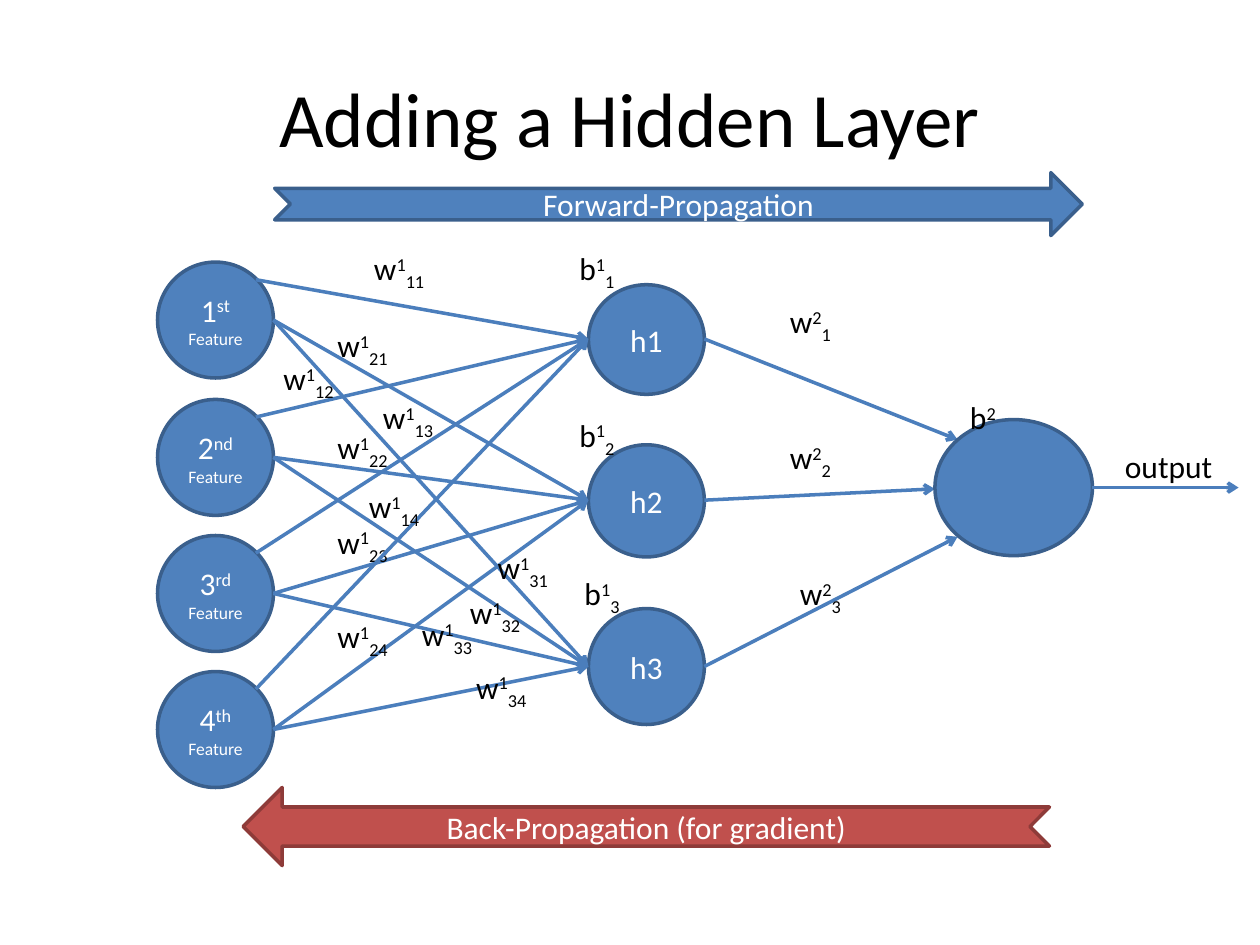
from dataclasses import dataclass

from lxml.etree import SubElement
from pptx import Presentation
from pptx.dml.color import RGBColor
from pptx.enum.shapes import MSO_CONNECTOR as Link, MSO_SHAPE as Preset
from pptx.enum.text import MSO_ANCHOR as Anchor, MSO_AUTO_SIZE as Fit, PP_ALIGN as Align
from pptx.oxml.ns import qn
from pptx.util import Pt

PX = 9144


@dataclass(frozen=True)
class Theme:
    """Hold the colours, font and type sizes of the slide."""
    font: str = "Calibri"
    title: int = 44
    body: int = 18
    small: int = 10
    stroke: int = 2
    black: str = "000000"
    white: str = "FFFFFF"
    blue: str = "4F81BD"
    blue_edge: str = "3A5F8C"
    link: str = "4B7EBC"
    red: str = "C0504D"
    red_edge: str = "8E3B39"


THEME = Theme()
SUPER, SUB = 30000, -25000

FEATURES = [("1", "st", 208), ("2", "nd", 317), ("3", "rd", 425), ("4", "th", 533)]
FEATURE_LEFT, NODE = 125, 92
HIDDEN_LEFT = 467
OUTPUT = (742, 333, 125, 108)


@dataclass(frozen=True)
class HiddenUnit:
    """Describe one hidden unit, its link ends and its label places."""
    index: int
    top: int
    height: int
    start_x: int
    start_drop: int
    weights: tuple
    bias: tuple
    target: tuple


HIDDEN_UNITS = [
    HiddenUnit(2, 353, 89, 217, 46,
               ((258, 254, 67), (258, 335, 67), (258, 410, 67), (258, 485, 92)),
               (450, 325), (742, 388)),
    HiddenUnit(3, 483, 92, 217, 46,
               ((385, 430, 71), (363, 466, 79), (325, 483, 71), (368, 525, 71)),
               (454, 451), (760, 426)),
    HiddenUnit(1, 226, 87, 203, 14,
               ((287, 193, 67), (215, 280, 79), (294, 311, 67), (283, 382, 67)),
               (450, 193), (760, 349)),
]
OUTPUT_WEIGHTS = [("1", 617, 235), ("2", 617, 343), ("3", 625, 451)]


def px(*lengths):
    """Turn pixel lengths into EMU."""
    return [length * PX for length in lengths]


def write(shape, *pieces, size=THEME.body, color=THEME.black, align=Align.LEFT,
          anchor=Anchor.TOP):
    """Write (text, baseline, size) pieces into one formatted paragraph."""
    frame = shape.text_frame
    frame.word_wrap = True
    frame.vertical_anchor = anchor
    paragraph = frame.paragraphs[0]
    paragraph.alignment = align
    for text, baseline, piece_size in pieces:
        run = paragraph.add_run()
        run.text = text
        run.font.name = THEME.font
        run.font.size = Pt(piece_size or size)
        run.font.color.rgb = RGBColor.from_string(color)
        if baseline:
            run.font._element.set("baseline", str(baseline))


def label(shapes, left, top, width, text, upper="", lower=""):
    """Add a text label with an optional superscript and subscript."""
    box = shapes.add_textbox(*px(left, top, width, 40))
    parts = [(text, 0, None), (upper, SUPER, None), (lower, SUB, None)]
    write(box, *[part for part in parts if part[0]])
    box.text_frame.auto_size = Fit.SHAPE_TO_FIT_TEXT


def solid(shapes, preset, bounds, *pieces, fill=THEME.blue, edge=THEME.blue_edge):
    """Add a filled, outlined shape with centred white text."""
    shape = shapes.add_shape(preset, *px(*bounds))
    shape.shadow.inherit = False
    shape.fill.solid()
    shape.fill.fore_color.rgb = RGBColor.from_string(fill)
    shape.line.color.rgb = RGBColor.from_string(edge)
    shape.line.width = Pt(THEME.stroke)
    write(shape, *pieces, color=THEME.white, align=Align.CENTER, anchor=Anchor.MIDDLE)
    return shape


def arrow(shapes, start, end):
    """Add a straight link with an open arrowhead at its end."""
    link = shapes.add_connector(Link.STRAIGHT, *px(*start, *end))
    link.line.color.rgb = RGBColor.from_string(THEME.link)
    link.line.width = Pt(THEME.stroke)
    SubElement(link.line._get_or_add_ln(), qn("a:tailEnd"), type="arrow")
    SubElement(link._element.spPr, qn("a:effectLst"))


def feature(shapes, number, ordinal, top):
    """Add one input feature node."""
    solid(shapes, Preset.OVAL, (FEATURE_LEFT, top, NODE, NODE), (number, 0, None),
          (ordinal + " ", SUPER, None), ("Feature", 0, THEME.small))


def hidden_unit(shapes, unit):
    """Add one hidden unit grouped with its links, weights and bias."""
    members = shapes.add_group_shape().shapes
    middle = unit.top + unit.height // 2
    solid(members, Preset.OVAL, (HIDDEN_LEFT, unit.top, NODE, unit.height),
          (f"h{unit.index}", 0, None))
    for _, _, top in FEATURES:
        arrow(members, (unit.start_x, top + unit.start_drop), (HIDDEN_LEFT, middle))
    for source, place in enumerate(unit.weights, 1):
        label(members, *place, "w", "1", f"{unit.index}{source}")
    label(members, *unit.bias, 58, "b", "1", str(unit.index))
    arrow(members, (HIDDEN_LEFT + NODE, middle), unit.target)


def output_unit(shapes):
    """Add the output node with its weights, bias and outgoing link."""
    left, top, width, height = OUTPUT
    middle = top + height // 2
    solid(shapes, Preset.OVAL, OUTPUT)
    for index, x, y in OUTPUT_WEIGHTS:
        label(shapes, x, y, 58, "w", "2", index)
    label(shapes, 760, 311, 44, "b", "2")
    label(shapes, 883, 350, 100, "output")
    arrow(shapes, (left + width, middle), (983, middle))


def main():
    """Build the slide and save it."""
    deck = Presentation()
    deck.slide_width, deck.slide_height = px(1000, 750)
    shapes = deck.slides.add_slide(deck.slide_layouts[6]).shapes

    title = shapes.add_textbox(*px(50, 30, 900, 125))
    write(title, ("Adding a Hidden Layer", 0, None), size=THEME.title,
          align=Align.CENTER, anchor=Anchor.MIDDLE)
    for number, ordinal, top in FEATURES:
        feature(shapes, number, ordinal, top)
    for unit in HIDDEN_UNITS:
        hidden_unit(shapes, unit)
    output_unit(shapes)

    solid(shapes, Preset.NOTCHED_RIGHT_ARROW, (218, 137, 641, 50),
          ("Forward-Propagation", 0, None))
    backward = solid(shapes, Preset.NOTCHED_RIGHT_ARROW, (193, 625, 640, 62),
                     ("Back-Propagation (for gradient)", 0, None),
                     fill=THEME.red, edge=THEME.red_edge)
    backward._element.spPr.xfrm.set("flipH", "1")
    deck.save("out.pptx")


if __name__ == "__main__":
    main()
